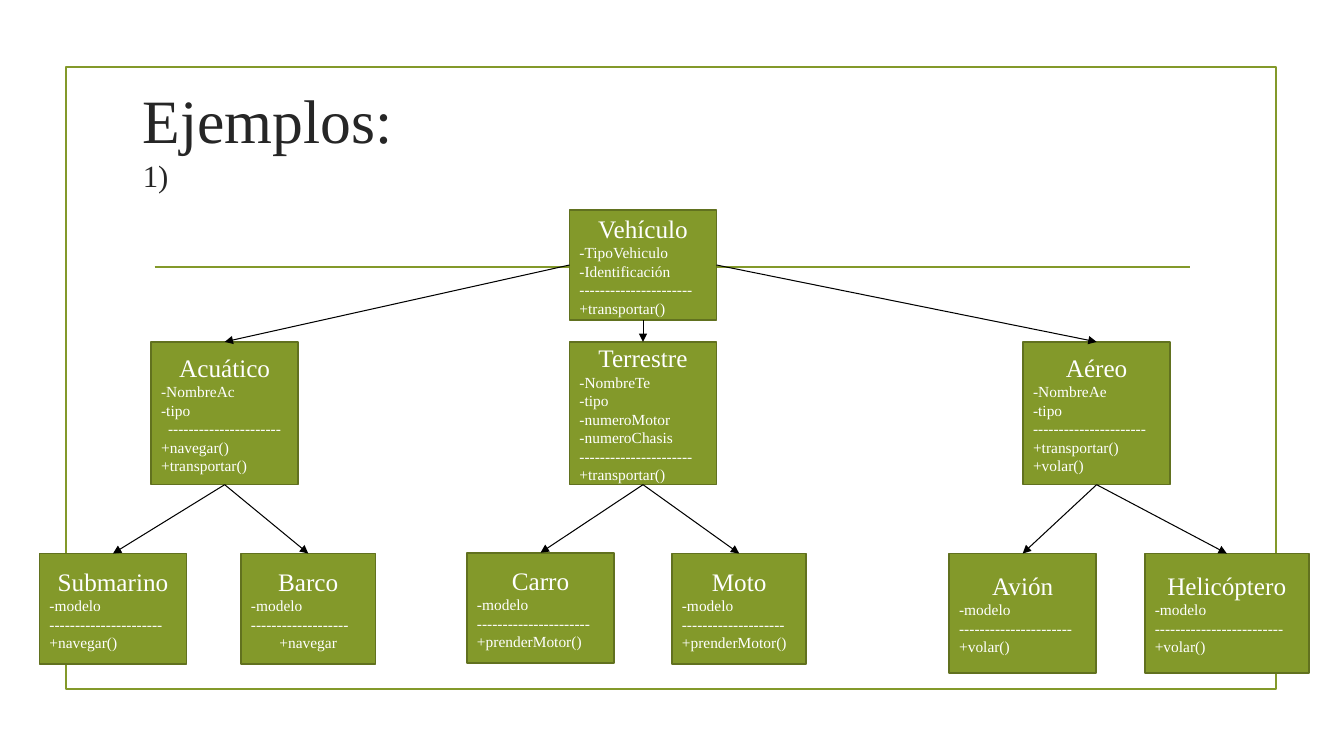
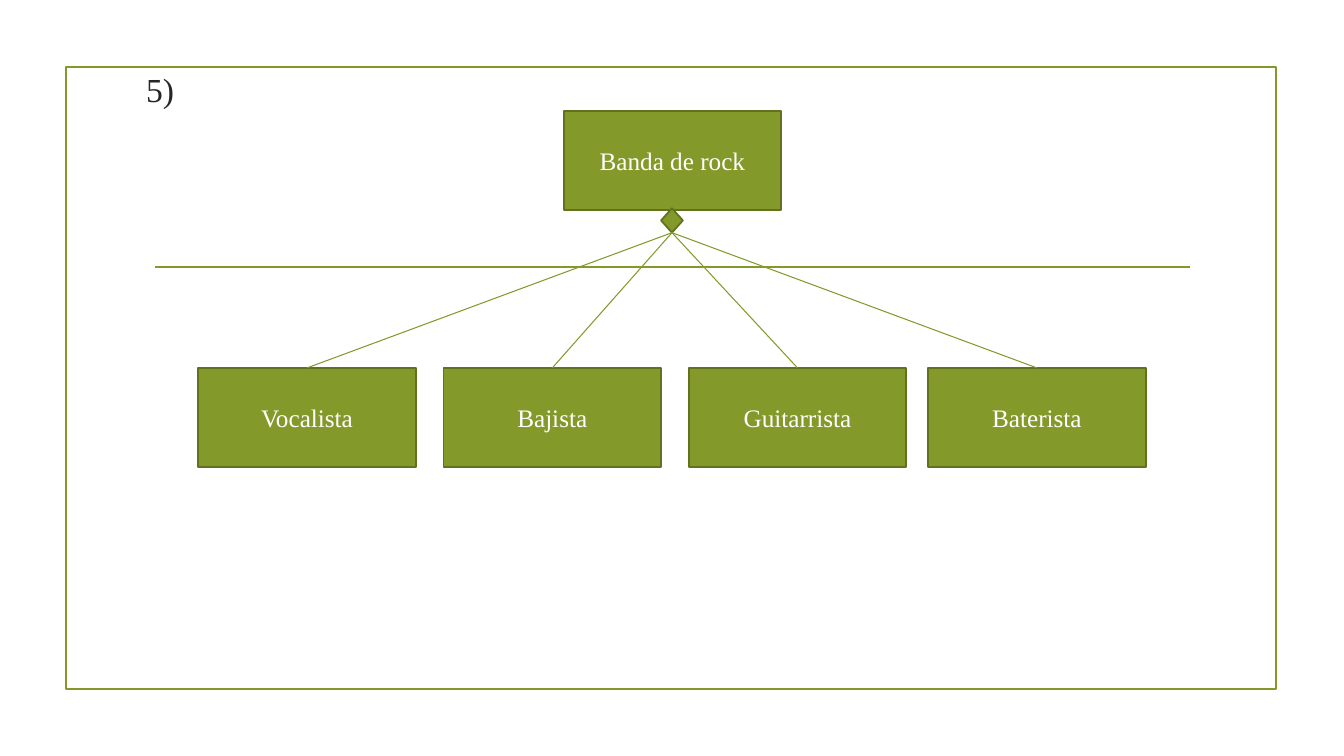
from pptx import Presentation
from pptx.dml.color import RGBColor
from pptx.enum.shapes import MSO_CONNECTOR, MSO_SHAPE
from pptx.enum.text import MSO_ANCHOR, MSO_AUTO_SIZE, PP_ALIGN
from pptx.oxml.ns import qn
from pptx.util import Inches, Pt
from lxml.etree import SubElement

GREEN = RGBColor(0x83, 0x99, 0x2A)
EDGE = RGBColor(0x61, 0x71, 0x1F)
INK = RGBColor(0x26, 0x26, 0x26)
WHITE = RGBColor(0xFF, 0xFF, 0xFF)
BLACK = RGBColor(0, 0, 0)
FONT = "Times New Roman"
TOP, LEFT, BOTTOM, RIGHT = range(4)

# Grid of 160 columns by 90 rows
WIDE, HIGH = Inches(13.33), Inches(7.5)


def grid(x, y, *size):
    spans = (WIDE / 160, HIGH / 90) * 2
    return [round(n * span) for n, span in zip((x, y, *size), spans)]


def write(para, text, size=18, color=WHITE, align=PP_ALIGN.CENTER):
    """Add a run of text to a paragraph."""
    para.alignment = align
    run = para.add_run()
    run.text = text
    font = run.font
    font.name, font.size, font.color.rgb = FONT, Pt(size), color


class Deck:
    def __init__(self):
        self.file = Presentation()
        self.file.slide_width, self.file.slide_height = WIDE, HIGH

    def page(self, x, y, *lines):
        """Start a slide with frame, rule and title lines (text, size)."""
        self.slide = self.file.slides.add_slide(self.file.slide_layouts[5])
        self.shape(7.9, 8, 144, 74, fill=None, edge=GREEN)
        self.style(self.slide.shapes.add_connector(
            MSO_CONNECTOR.STRAIGHT, *grid(18.4, 31.8), *grid(141.7, 31.8)),
            GREEN, 1.25)
        title = self.slide.shapes.title
        title.left, title.top, title.width, title.height = grid(x, y, 126, 17.2)
        frame = title.text_frame
        frame.auto_size = MSO_AUTO_SIZE.NONE
        frame.vertical_anchor = MSO_ANCHOR.MIDDLE
        para = frame.paragraphs[0]
        for i, (text, size) in enumerate(lines):
            if i:
                para.add_line_break()
            write(para, text, size, INK, PP_ALIGN.LEFT)

    def shape(self, x, y, w, h, kind=MSO_SHAPE.RECTANGLE, fill=GREEN, edge=EDGE):
        shape = self.slide.shapes.add_shape(kind, *grid(x, y, w, h))
        shape.shadow.inherit = False
        if fill is None:
            shape.fill.background()
        else:
            shape.fill.solid()
            shape.fill.fore_color.rgb = fill
        shape.line.color.rgb, shape.line.width = edge, Pt(1.25)
        return shape

    def box(self, x, y, w, h, name, *rows, mid=None):
        """Draw a class box; the row numbered mid is centred."""
        shape = self.shape(x, y, w, h)
        frame = shape.text_frame
        frame.word_wrap = True
        frame.vertical_anchor = MSO_ANCHOR.MIDDLE
        write(frame.paragraphs[0], name)
        for i, row in enumerate(rows):
            align = PP_ALIGN.CENTER if i == mid else PP_ALIGN.JUSTIFY
            write(frame.add_paragraph(), row, size=11, align=align)
        return shape

    def style(self, line, color, width):
        line.line.color.rgb, line.line.width = color, Pt(width)
        SubElement(line.element.spPr, qn("a:effectLst"))

    def link(self, start, end, side=BOTTOM, color=BLACK, arrow=True):
        """Join a side of one shape to the top of another."""
        line = self.slide.shapes.add_connector(MSO_CONNECTOR.STRAIGHT, 0, 0, 0, 0)
        line.begin_connect(start, side)
        line.end_connect(end, TOP)
        self.style(line, color, 0.75)
        if arrow:
            SubElement(line.line._get_or_add_ln(), qn("a:tailEnd"), type="triangle")


def cars(deck):
    deck.page(15.8, 7.8, ("Ejemplos:", 44), ("1)", 22))
    dash = "-" * 22
    root = deck.box(67.8, 25, 17.5, 13.1, "Vehículo", "-TipoVehiculo",
                    "-Identificación", dash, "+transportar()")

    # Middle row: column, side of the root, name, rows, centred row
    kinds = [
        (18, LEFT, "Acuático", ("-NombreAc", "-tipo", dash, "+navegar()",
                                "+transportar()"), 2),
        (67.8, BOTTOM, "Terrestre", ("-NombreTe", "-tipo", "-numeroMotor",
                                     "-numeroChasis", dash, "+transportar()"), None),
        (121.8, RIGHT, "Aéreo", ("-NombreAe", "-tipo", dash, "+transportar()",
                                 "+volar()"), None),
    ]
    mids = []
    for x, side, name, rows, mid in kinds:
        mids.append(deck.box(x, 40.7, 17.5, 17, name, *rows, mid=mid))
        deck.link(root, mids[-1], side)

    # Bottom row: parent, place, name, dashes, method, centred row
    leaves = [
        (0, (4.7, 65.9, 17.5, 13.2), "Submarino", 22, "+navegar()", None),
        (0, (28.7, 65.9, 16, 13.2), "Barco", 19, "+navegar", 2),
        (1, (55.6, 65.8, 17.5, 13.1), "Carro", 22, "+prenderMotor()", None),
        (1, (80, 65.9, 16, 13.2), "Moto", 20, "+prenderMotor()", None),
        (2, (113, 65.9, 17.5, 14.2), "Avión", 22, "+volar()", None),
        (2, (136.3, 65.9, 19.5, 14.2), "Helicóptero", 25, "+volar()", None),
    ]
    for i, place, name, count, call, mid in leaves:
        leaf = deck.box(*place, name, "-modelo", "-" * count, call, mid=mid)
        deck.link(mids[i], leaf)


def band(deck):
    deck.page(16.2, 2, ("5)", 24))
    size = 25.9, 11.8
    deck.box(67.1, 13.2, *size, "Banda de rock")
    gem = deck.shape(78.7, 24.8, 2.6, 2.9, MSO_SHAPE.FLOWCHART_DECISION)
    parts = {"Vocalista": 23.6, "Bajista": 52.8, "Guitarrista": 82,
             "Baterista": 110.5}
    for name, x in parts.items():
        part = deck.box(x, 43.8, *size, name)
        deck.link(gem, part, color=GREEN, arrow=False)


def main():
    deck = Deck()
    cars(deck)
    band(deck)
    deck.file.save("out.pptx")


if __name__ == "__main__":
    main()
